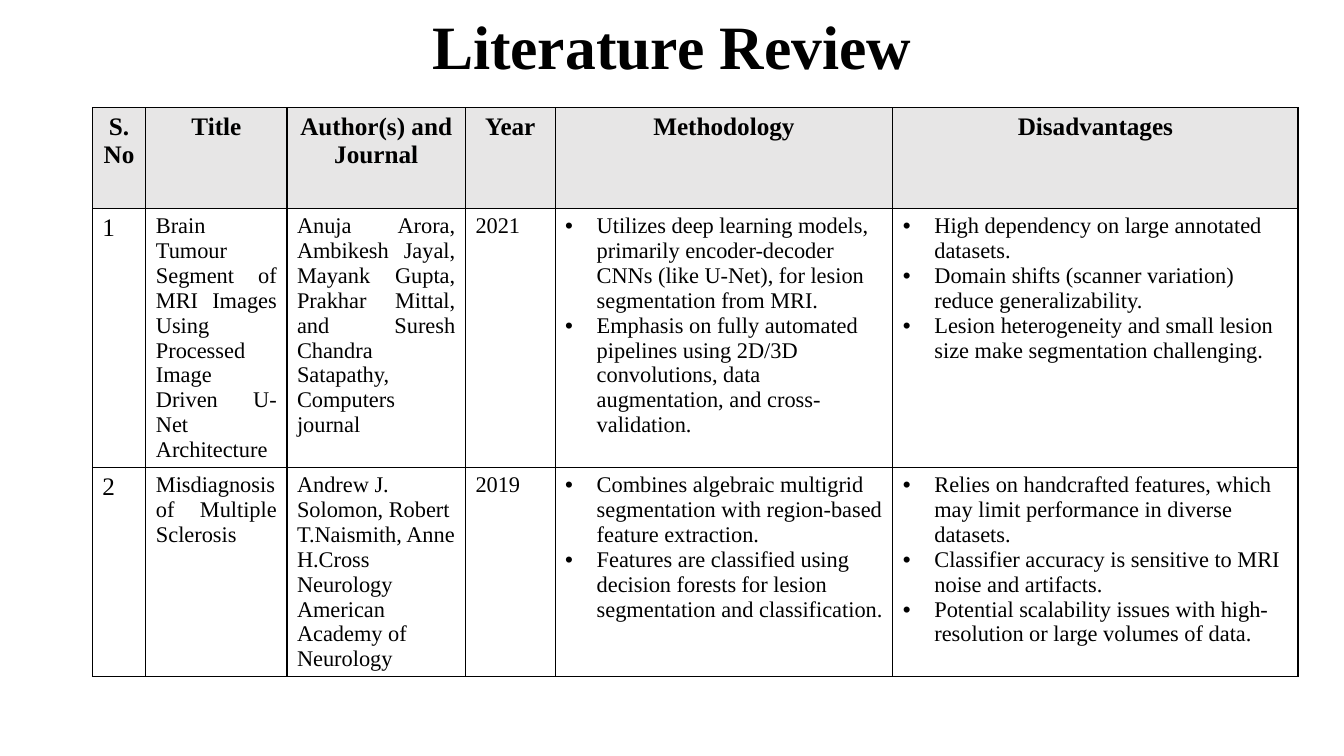
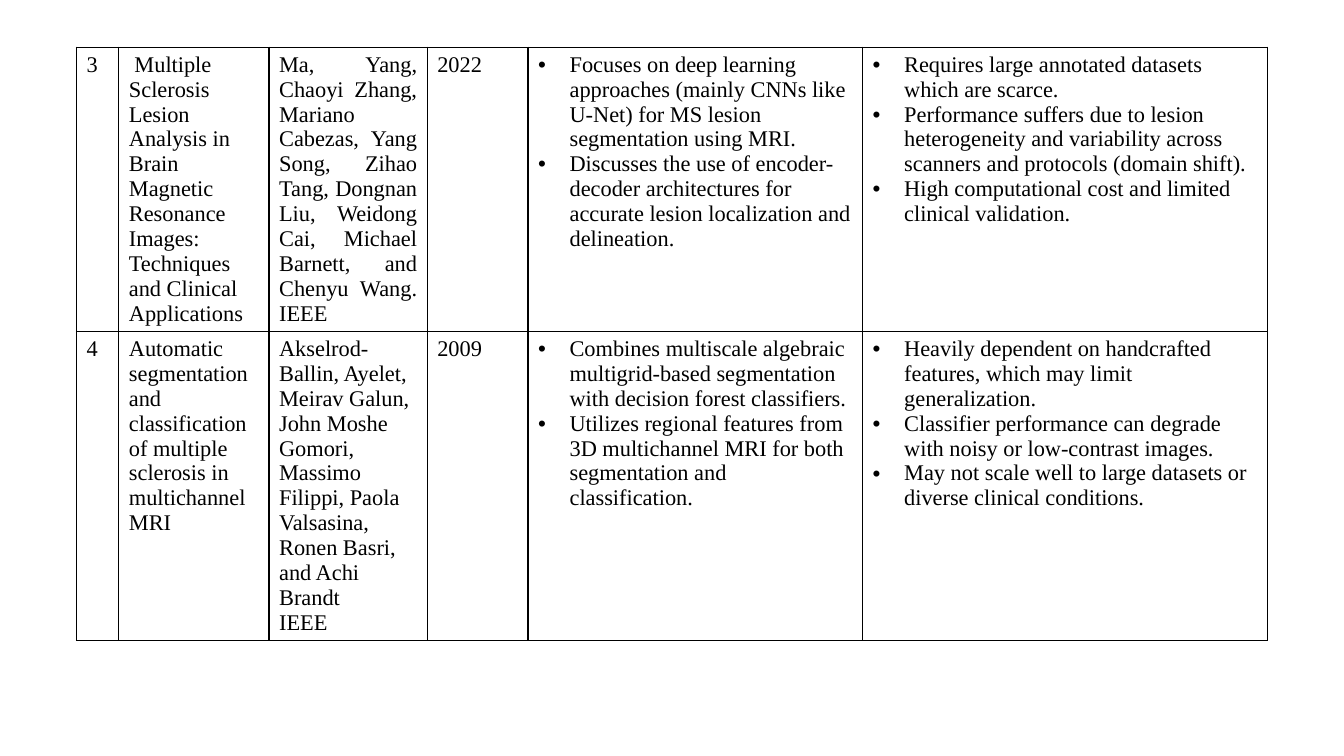
from dataclasses import dataclass

from lxml import etree
from pptx import Presentation
from pptx.dml.color import RGBColor
from pptx.enum import text
from pptx.oxml import ns
from pptx.util import Pt

BLACK = RGBColor(0x00, 0x00, 0x00)
HEADER_GREY = RGBColor(0xE7, 0xE6, 0xE6)
FONT = "Times New Roman"
TITLE_SIZE, HEADER_SIZE, BODY_SIZE = 44, 18, 16
BORDER = 1
BULLET_INDENT = 22.5

LEFT = text.PP_ALIGN.LEFT
CENTER = text.PP_ALIGN.CENTER
JUSTIFY = text.PP_ALIGN.JUSTIFY

HEADINGS = ["S.No", "Title", "Author(s) and Journal", "Year", "Methodology", "Disadvantages"]


@dataclass
class Paper:
    number: str
    title: str
    authors: list
    year: str
    methodology: list
    disadvantages: list
    title_align: int = LEFT
    authors_align: int = LEFT


FIRST_PAPERS = [
    Paper(
        "1",
        "Brain Tumour Segment of MRI Images Using Processed Image Driven U-Net Architecture",
        ["Anuja Arora, Ambikesh Jayal, Mayank Gupta, Prakhar Mittal, and Suresh Chandra "
         "Satapathy, Computers journal"],
        "2021",
        ["Utilizes deep learning models, primarily encoder-decoder CNNs (like U-Net), "
         "for lesion segmentation from MRI.",
         "Emphasis on fully automated pipelines using 2D/3D convolutions, data augmentation, "
         "and cross-validation."],
        ["High dependency on large annotated datasets.",
         "Domain shifts (scanner variation) reduce generalizability.",
         "Lesion heterogeneity and small lesion size make segmentation challenging."],
        title_align=JUSTIFY, authors_align=JUSTIFY),
    Paper(
        "2",
        "Misdiagnosis of Multiple Sclerosis",
        ["Andrew J. Solomon, Robert T.Naismith, Anne H.Cross Neurology American Academy "
         "of Neurology"],
        "2019",
        ["Combines algebraic multigrid segmentation with region-based feature extraction.",
         "Features are classified using decision forests for lesion segmentation "
         "and classification."],
        ["Relies on handcrafted features, which may limit performance in diverse datasets.",
         "Classifier accuracy is sensitive to MRI noise and artifacts.",
         "Potential scalability issues with high-resolution or large volumes of data."],
        title_align=JUSTIFY),
]

MORE_PAPERS = [
    Paper(
        "3",
        " Multiple Sclerosis Lesion Analysis in Brain Magnetic Resonance Images: "
        "Techniques and Clinical Applications",
        ["Ma, Yang, Chaoyi Zhang, Mariano Cabezas, Yang Song, Zihao Tang, Dongnan Liu, "
         "Weidong Cai, Michael Barnett, and Chenyu Wang. IEEE"],
        "2022",
        ["Focuses on deep learning approaches (mainly CNNs like U-Net) for MS lesion "
         "segmentation using MRI.",
         "Discusses the use of encoder-decoder architectures for accurate lesion "
         "localization and delineation."],
        ["Requires large annotated datasets which are scarce.",
         "Performance suffers due to lesion heterogeneity and variability across scanners "
         "and protocols (domain shift).",
         "High computational cost and limited clinical validation."],
        authors_align=JUSTIFY),
    Paper(
        "4",
        "Automatic segmentation and classification of multiple sclerosis in multichannel MRI",
        ["Akselrod-Ballin, Ayelet, Meirav Galun, John Moshe Gomori, Massimo Filippi, "
         "Paola Valsasina, Ronen Basri, and Achi Brandt",
         "IEEE"],
        "2009",
        ["Combines multiscale algebraic multigrid-based segmentation with decision forest "
         "classifiers.",
         "Utilizes regional features from 3D multichannel MRI for both segmentation "
         "and classification."],
        ["Heavily dependent on handcrafted features, which may limit generalization.",
         "Classifier performance can degrade with noisy or low-contrast images.",
         "May not scale well to large datasets or diverse clinical conditions."]),
]


def add_run(p, words, size, bold=False):
    r = p.add_run()
    r.text = words
    r.font.name = FONT
    r.font.size = Pt(size)
    r.font.bold = bold
    r.font.color.rgb = BLACK


def add_colour(parent, colour):
    etree.SubElement(parent, ns.qn("a:srgbClr"), val=str(colour))


def add_bullet(p):
    pPr = p._p.get_or_add_pPr()
    pPr.set("marL", str(Pt(BULLET_INDENT)))
    pPr.set("indent", str(-Pt(BULLET_INDENT)))
    add_colour(etree.SubElement(pPr, ns.qn("a:buClr")), BLACK)
    etree.SubElement(pPr, ns.qn("a:buFont"), typeface="Arial")
    etree.SubElement(pPr, ns.qn("a:buChar"), char="•")


def add_borders(cell):
    tcPr = cell._tc.get_or_add_tcPr()
    for side in ("a:lnL", "a:lnR", "a:lnT", "a:lnB"):
        ln = etree.SubElement(tcPr, ns.qn(side), w=str(Pt(BORDER)))
        add_colour(etree.SubElement(ln, ns.qn("a:solidFill")), BLACK)


def fill_cell(cell, lines, size=BODY_SIZE, align=LEFT, bold=False, bullets=False, fill=None):
    add_borders(cell)
    if fill is None:
        cell.fill.background()
    else:
        cell.fill.solid()
        cell.fill.fore_color.rgb = fill
    tf = cell.text_frame
    for i, line in enumerate(lines):
        p = tf.add_paragraph() if i else tf.paragraphs[0]
        p.alignment = align
        if bullets:
            add_bullet(p)
        add_run(p, line, size, bold)


def fill_paper_row(cells, paper, number_size):
    number, title, authors, year, methodology, disadvantages = cells
    fill_cell(number, [paper.number], number_size, JUSTIFY)
    fill_cell(title, [paper.title], align=paper.title_align)
    fill_cell(authors, paper.authors, align=paper.authors_align)
    fill_cell(year, [paper.year], align=JUSTIFY)
    fill_cell(methodology, paper.methodology, bullets=True)
    fill_cell(disadvantages, paper.disadvantages, bullets=True)


def add_review_table(slide, left, top, widths, heights, papers, number_size, header=False):
    shape = slide.shapes.add_table(len(heights), len(widths), Pt(left), Pt(top),
                                   Pt(sum(widths)), Pt(sum(heights)))
    table = shape.table
    table.first_row = table.horz_banding = False
    for column, width in zip(table.columns, widths):
        column.width = Pt(width)
    for row, height in zip(table.rows, heights):
        row.height = Pt(height)

    rows = [list(row.cells) for row in table.rows]
    if header:
        for cell, heading in zip(rows.pop(0), HEADINGS):
            fill_cell(cell, [heading], HEADER_SIZE, CENTER, bold=True, fill=HEADER_GREY)
    for cells, paper in zip(rows, papers):
        fill_paper_row(cells, paper, number_size)


def set_title(slide, words, left, top, width, height):
    sp = slide.shapes.title
    sp.left, sp.top, sp.width, sp.height = Pt(left), Pt(top), Pt(width), Pt(height)
    tf = sp.text_frame
    tf.vertical_anchor = text.MSO_ANCHOR.MIDDLE
    p = tf.paragraphs[0]
    p.alignment = CENTER
    p.line_spacing = 0.9
    add_run(p, words, TITLE_SIZE, bold=True)


def add_opening_slide(prs):
    slide = prs.slides.add_slide(prs.slide_layouts.get_by_name("Title Only"))
    set_title(slide, "Literature Review", 66, -63.4, 828, 197.3)
    add_review_table(slide, 66, 77, [38.2, 100.8, 127.5, 64.1, 241.2, 289.5],
                     [72, 185, 149], FIRST_PAPERS, HEADER_SIZE, header=True)


def add_continuation_slide(prs):
    slide = prs.slides.add_slide(prs.slide_layouts.get_by_name("Blank"))
    add_review_table(slide, 54.7, 33.8, [30.2, 107.3, 113, 72, 239, 289.5],
                     [203, 220.5], MORE_PAPERS, BODY_SIZE)


def main():
    prs = Presentation()
    prs.slide_width, prs.slide_height = Pt(960), Pt(540)
    add_opening_slide(prs)
    add_continuation_slide(prs)
    prs.save("out.pptx")


if __name__ == "__main__":
    main()
